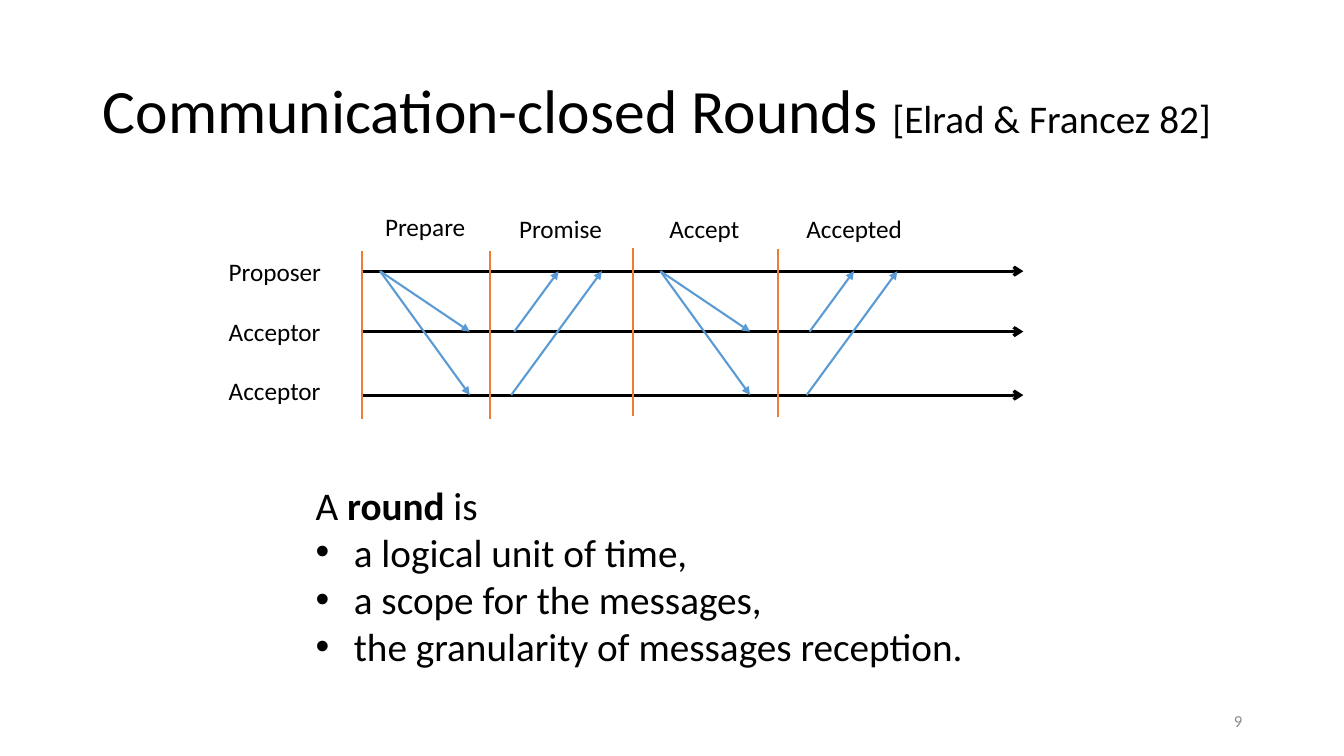
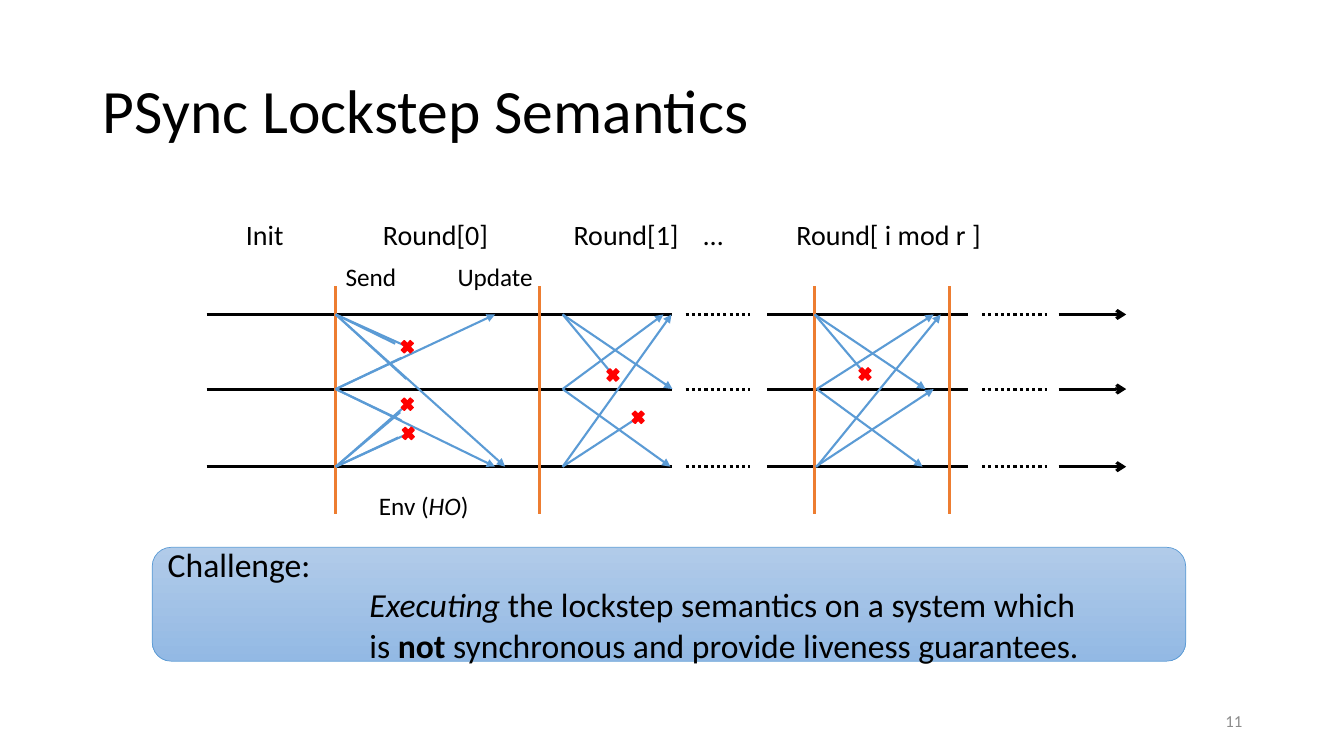
from collections import namedtuple
from dataclasses import dataclass

from lxml.etree import SubElement
from pptx import Presentation
from pptx.dml.color import RGBColor
from pptx.enum.dml import MSO_LINE_DASH_STYLE as Dash
from pptx.enum.shapes import MSO_CONNECTOR as Connector
from pptx.enum.shapes import MSO_SHAPE as Preset
from pptx.enum.text import MSO_ANCHOR as Anchor
from pptx.enum.text import MSO_AUTO_SIZE as AutoSize
from pptx.enum.text import PP_ALIGN as Align
from pptx.oxml.ns import qn
from pptx.util import Inches, Pt

Box = namedtuple("Box", "left top width height")


@dataclass(frozen=True)
class Theme:
    font: str = "Calibri"
    ink: str = "000000"
    muted: str = "8C8C8C"
    message: str = "5B9BD5"
    barrier: str = "ED7D31"
    lost: str = "FF0000"
    panel_top: str = "B1CBE9"
    panel_bottom: str = "93B9E4"
    title: int = 44
    body: int = 28
    callout: int = 24
    heading: int = 20
    label: int = 18
    number: int = 12


THEME = Theme()
TITLE_BOX = Box(0.92, 0.4, 11.5, 1.45)
NUMBER_BOX = Box(9.42, 6.95, 3, 0.4)
BOLD, ITALIC = {"bold": True}, {"italic": True}
TITLE_ONLY, TITLE_AND_BODY = 5, 1


def rgb(color):
    return RGBColor.from_string(color)


def set_all(target, values):
    for name, value in values.items():
        setattr(target, name, value)


def place(shape, box):
    set_all(shape, {side: Inches(value) for side, value in box._asdict().items()})


def write(paragraph, runs, size, color=THEME.ink, **paragraph_format):
    """Fill a paragraph with runs: a string, or a list of (text, font values)."""
    set_all(paragraph, paragraph_format)
    for text, values in [(runs, {})] if isinstance(runs, str) else runs:
        run = paragraph.add_run()
        run.text = text
        set_all(run.font, {"name": THEME.font, "size": Pt(size), **values})
        run.font.color.rgb = rgb(color)


def paragraphs_of(frame, count):
    return [frame.paragraphs[0]] + [frame.add_paragraph() for _ in range(count - 1)]


def indent(paragraph, left, first=0.0):
    properties = paragraph._p.get_or_add_pPr()
    properties.set("marL", str(Inches(left)))
    properties.set("indent", str(Inches(first)))
    return properties


def add_label(slide, box, runs, size=THEME.label):
    label = slide.shapes.add_textbox(*map(Inches, box))
    set_all(label.text_frame, {"word_wrap": False, "auto_size": AutoSize.SHAPE_TO_FIT_TEXT})
    write(label.text_frame.paragraphs[0], runs, size)


def add_line(shapes, start, end, color, width, head=None, dash=None):
    connector = shapes.add_connector(Connector.STRAIGHT, *map(Inches, (*start, *end)))
    line = connector.line
    line.color.rgb = rgb(color)
    line.width = Pt(width)
    if dash:
        line.dash_style = dash
    if head:
        SubElement(line._ln, qn("a:tailEnd"), type=head)
    SubElement(connector._element.spPr, qn("a:effectLst"))


def add_slide(presentation, layout, title, number):
    slide = presentation.slides.add_slide(presentation.slide_layouts[layout])
    heading = slide.shapes.title
    place(heading, TITLE_BOX)
    set_all(heading.text_frame, {"auto_size": AutoSize.NONE, "vertical_anchor": Anchor.MIDDLE})
    write(heading.text_frame.paragraphs[0], title, THEME.title,
          alignment=Align.LEFT, line_spacing=0.9)
    footer = slide.shapes.add_textbox(*map(Inches, NUMBER_BOX)).text_frame
    set_all(footer, {"word_wrap": True, "vertical_anchor": Anchor.MIDDLE})
    write(footer.paragraphs[0], number, THEME.number, THEME.muted, alignment=Align.RIGHT)
    return slide


def add_barrier(slide, x, top, height, width):
    add_line(slide.shapes, (x, top), (x, top + height), THEME.barrier, width)


def add_messages(shapes, left, rows, messages):
    """Draw arrows given as (x, row, x, row), with x counted from left."""
    for start_x, start_row, end_x, end_row in messages:
        add_line(shapes, (left + start_x, rows[start_row]), (left + end_x, rows[end_row]),
                 THEME.message, 1.5, "triangle")


def add_partial_messages(shapes, left, rows, messages):
    """Draw plain lines from a row to (x, y), counted from left and the first row."""
    for row, x, y in messages:
        add_line(shapes, (left, rows[row]), (left + x, rows[0] + y), THEME.message, 1.5)


def add_cross(slide, x, y, width=0.17, height=0.18):
    box = Box(x - width / 2, y - height / 2, width, height)
    cross = slide.shapes.add_shape(Preset.MATH_MULTIPLY, *map(Inches, box))
    cross.shadow.inherit = False
    cross.fill.solid()
    cross.fill.fore_color.rgb = cross.line.color.rgb = rgb(THEME.lost)
    cross.line.width = Pt(1)


def add_round(slide, left, rows, messages, lost):
    add_messages(slide.shapes, left, rows, messages)
    add_partial_messages(slide.shapes, left, rows, lost)
    for _, x, y in lost:
        add_cross(slide, left + x, rows[0] + y)


def add_paxos_diagram(slide, box):
    rows = [box.top + offset for offset in (0.2, 0.8, 1.43)]
    for y in rows:
        add_line(slide.shapes, (box.left, y), (box.left + box.width, y), THEME.ink, 2.25, "arrow")

    broadcast = [(0, 0, 0.89, 1), (0, 0, 0.89, 2)]
    reply = [(0.03, 1, 0.47, 0), (0, 2, 0.9, 0)]
    for x, messages in ((0.18, broadcast), (1.48, reply), (2.96, broadcast), (4.41, reply)):
        add_messages(slide.shapes, box.left + x, rows, messages)

    for name, y, width in (("Proposer", 0, 1.13), ("Acceptor", 0.6, 1.12), ("Acceptor", 1.18, 1.12)):
        add_label(slide, Box(box.left - 1.42, box.top + y, width, 0.4), name)
    phases = (("Prepare", 0.13, -0.44, 1.01), ("Promise", 1.46, -0.42, 1.03),
              ("Accept", 2.95, -0.42, 0.9), ("Accepted", 4.31, -0.42, 1.16))
    for name, x, y, width in phases:
        add_label(slide, Box(box.left + x, box.top + y, width, 0.4), name)
    for x, y in ((0, 0), (1.27, 0), (2.69, -0.03), (4.13, -0.02)):
        add_barrier(slide, box.left + x, box.top + y, box.height, 1.5)


def add_definition(slide, box):
    body = slide.placeholders[1]
    place(body, box)
    frame = body.text_frame
    set_all(frame, {"auto_size": AutoSize.NONE, "word_wrap": True})
    lead = [("A ", {}), ("round", BOLD), (" is", {})]
    points = ["a logical unit of time,", "a scope for the messages,",
              "the granularity of messages reception."]
    first, *rest = paragraphs_of(frame, 1 + len(points))
    write(first, lead, THEME.body, space_before=Pt(0))
    SubElement(indent(first, 0), qn("a:buNone"))
    for paragraph, text in zip(rest, points):
        write(paragraph, text, THEME.body, space_before=Pt(0))
        SubElement(indent(paragraph, 0.38, -0.38), qn("a:buChar"), char="•")


def add_lockstep_diagram(slide, box):
    rows = [box.top + offset for offset in (0.28, 1.02, 1.79)]
    segments = ((0, 4.62, {}), (4.75, 5.39, {"dash": Dash.ROUND_DOT}), (5.56, 7.55, {}),
                (7.69, 8.33, {"dash": Dash.ROUND_DOT}), (8.45, 9.12, {"head": "arrow"}))
    for y in rows:
        for start, end, style in segments:
            add_line(slide.shapes, (box.left + start, y), (box.left + end, y),
                     THEME.ink, 2.25, **style)
    for x in (1.28, 3.3, 6.03, 7.37):
        add_barrier(slide, box.left + x, box.top, box.height, 2.25)

    rounds = (
        (1.28, [(0, 0, 1.68, 2), (0, 1, 1.58, 0), (0, 1, 1.58, 2)],
         [(0, 0.71, 0.32), (2, 0.71, 0.89), (2, 0.72, 1.18)]),
        (3.53, [(0, 1, 1, 0), (0, 0, 1.09, 1), (0, 1, 1.07, 2), (0, 2, 1.08, 0)],
         [(0, 0.5, 0.6), (2, 0.75, 1.02)]),
        (6.03, [(0.02, 1, 1.18, 0), (0, 0, 1.1, 1), (0.02, 1, 1.07, 2),
                (0.02, 2, 1.25, 0), (0.01, 2, 1.18, 1)],
         [(0, 0.5, 0.59)]),
    )
    for x, messages, lost in rounds:
        add_round(slide, box.left + x, rows, messages, lost)
    send_phase = [(0, 0.7, 0.64), (1, 0.65, 0.43), (0, 0.59, 0.29),
                  (1, 0.65, 1.05), (2, 0.64, 0.97), (2, 0.62, 1.22)]
    add_partial_messages(slide.shapes.add_group_shape().shapes, box.left + 1.28, rows, send_phase)

    headings = (("Init", 0.29, 0.58), ("Round[0]", 1.65, 1.25), ("Round[1]", 3.54, 1.25),
                ("…", 4.83, 0.4), ("Round[ i mod r ]", 5.75, 2.05))
    for text, x, width in headings:
        add_label(slide, Box(box.left + x, box.top - 0.73, width, 0.44), text, THEME.heading)
    labels = (("Send", 1.28, -0.3, 0.71), ("Update", 2.39, -0.3, 0.96),
              ([("Env (", {}), ("HO", ITALIC), (")", {})], 1.61, 1.98, 1.1))
    for text, x, y, width in labels:
        add_label(slide, Box(box.left + x, box.top + y, width, 0.4), text)


def add_challenge(slide, box):
    panel = slide.shapes.add_shape(Preset.ROUNDED_RECTANGLE, *map(Inches, box))
    panel.shadow.inherit = False
    panel.fill.gradient()
    panel.fill.gradient_angle = 270
    for stop, color in zip(panel.fill.gradient_stops, (THEME.panel_top, THEME.panel_bottom)):
        stop.color.rgb = rgb(color)
    panel.line.color.rgb = rgb(THEME.message)
    panel.line.width = Pt(0.5)
    frame = panel.text_frame
    set_all(frame, {"word_wrap": True, "vertical_anchor": Anchor.MIDDLE})
    lines = (
        (0, "Challenge:"),
        (2, [("Executing", ITALIC), (" the lockstep semantics on a system which", {})]),
        (2, [("is ", {}), ("not ", BOLD), ("synchronous and provide liveness guarantees.", {})]),
    )
    for paragraph, (left, runs) in zip(paragraphs_of(frame, len(lines)), lines):
        write(paragraph, runs, THEME.callout, alignment=Align.LEFT)
        indent(paragraph, left)


def build_rounds_slide(presentation):
    title = [("Communication-closed Rounds ", {}),
             ("[Elrad & Francez 82]", {"size": Pt(THEME.body)})]
    slide = add_slide(presentation, TITLE_AND_BODY, title, "9")
    add_paxos_diagram(slide, Box(3.59, 2.49, 6.56, 1.67))
    add_definition(slide, Box(3.03, 4.72, 6.74, 1.99))


def build_lockstep_slide(presentation):
    slide = add_slide(presentation, TITLE_ONLY, "PSync Lockstep Semantics", "11")
    add_lockstep_diagram(slide, Box(2.05, 2.84, 9.12, 2.26))
    add_challenge(slide, Box(1.51, 5.43, 10.25, 1.13))


def main():
    presentation = Presentation()
    set_all(presentation, {"slide_width": Inches(13.33), "slide_height": Inches(7.5)})
    build_rounds_slide(presentation)
    build_lockstep_slide(presentation)
    presentation.save("out.pptx")


if __name__ == "__main__":
    main()
